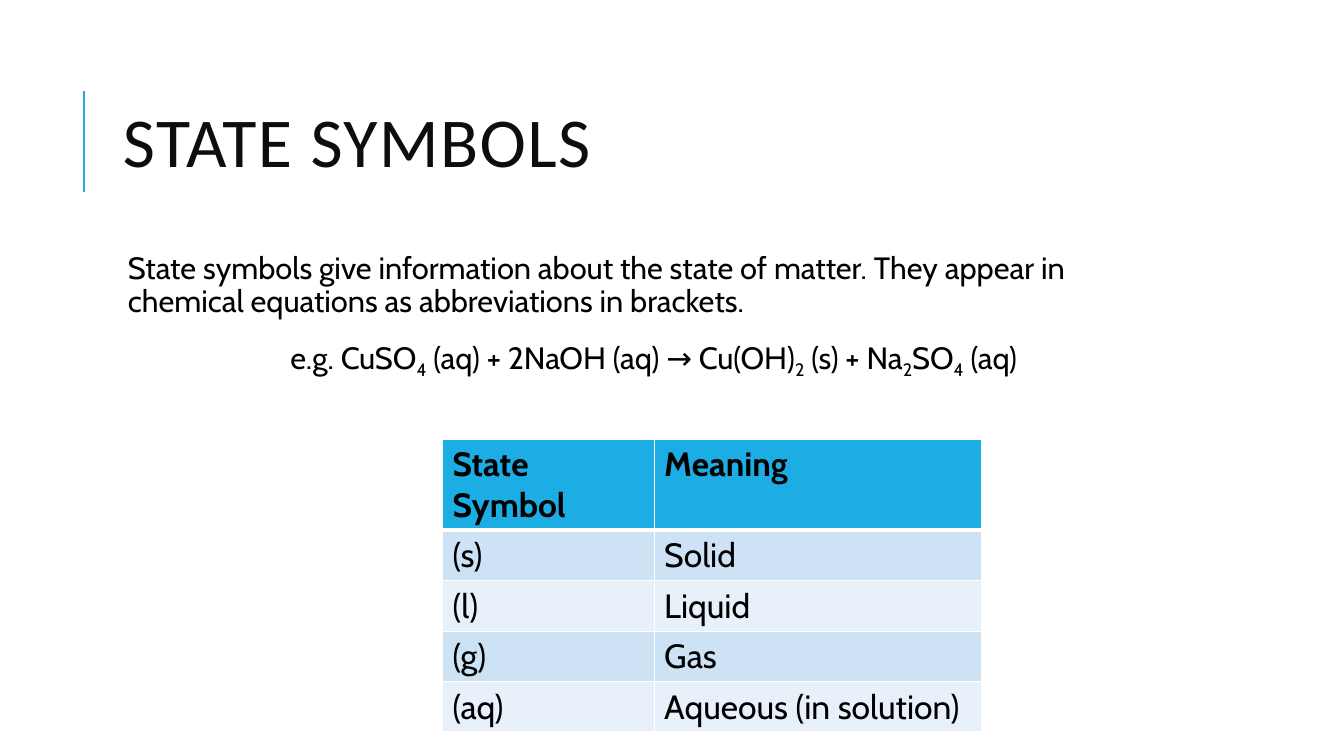
from dataclasses import dataclass

from lxml import etree
from pptx import Presentation
from pptx.dml.color import RGBColor
from pptx.enum.shapes import MSO_CONNECTOR
from pptx.enum.text import MSO_ANCHOR, MSO_AUTO_SIZE, PP_ALIGN
from pptx.oxml.ns import qn
from pptx.util import Pt

STRAIGHT = MSO_CONNECTOR.STRAIGHT
MIDDLE = MSO_ANCHOR.MIDDLE
NO_FIT = MSO_AUTO_SIZE.NONE
LEFT, CENTER = PP_ALIGN.LEFT, PP_ALIGN.CENTER
TITLE_ONLY = 5


@dataclass(frozen=True)
class Theme:
    accent: str = "1CADE4"
    title: str = "0D0D0D"
    text: str = "000000"
    border: str = "FFFFFF"
    bands: tuple = ("CDE3F5", "E8F1FA")
    title_font: str = "Calibri"
    body_font: str = "Cabin"
    title_size: int = 50
    body_size: int = 22
    table_size: int = 24


THEME = Theme()
INTRO = ("State symbols give information about the state of matter. "
         "They appear in chemical equations as abbreviations in brackets.")
EQUATION = [("e.g. CuSO", False), ("4", True), (" (aq) + 2NaOH (aq) → Cu(OH)", False),
            ("2", True), (" (s) + Na", False), ("2", True), ("SO", False),
            ("4", True), (" (aq)", False)]
STATES = [("State Symbol", "Meaning"), ("(s)", "Solid"), ("(l)", "Liquid"),
          ("(g)", "Gas"), ("(aq)", "Aqueous (in solution)")]


def add_run(p, text, font, size, color, bold=False, subscript=False):
    r = p.add_run()
    r.text = text
    r.font.name = font
    r.font.size = Pt(size)
    r.font.bold = bold
    r.font.color.rgb = RGBColor.from_string(color)
    if subscript:
        r.font._element.set("baseline", "-25000")
    return r


def add_rule(s, x, top, bottom):
    line = s.shapes.add_connector(STRAIGHT, Pt(x), Pt(bottom), Pt(x), Pt(top))
    line.line.color.rgb = RGBColor.from_string(THEME.accent)
    line.line.width = Pt(1.5)
    etree.SubElement(line._element.spPr, qn("a:effectLst"))


def set_title(s, text, left, top, width, height):
    sp = s.shapes.title
    sp.left, sp.top, sp.width, sp.height = Pt(left), Pt(top), Pt(width), Pt(height)
    tf = sp.text_frame
    tf.word_wrap = True
    tf.auto_size = NO_FIT
    tf.vertical_anchor = MIDDLE
    p = tf.paragraphs[0]
    p.alignment = LEFT
    p.line_spacing = 0.8
    r = add_run(p, text, THEME.title_font, THEME.title_size, THEME.title)
    r.font._element.set("spc", "100")


def add_body(s, paragraphs, left, top, width, height):
    tf = s.shapes.add_textbox(Pt(left), Pt(top), Pt(width), Pt(height)).text_frame
    tf.word_wrap = True
    tf.margin_left = tf.margin_top = tf.margin_right = tf.margin_bottom = Pt(3.6)
    for i, (alignment, runs) in enumerate(paragraphs):
        p = tf.add_paragraph() if i else tf.paragraphs[0]
        p.alignment = alignment
        p.line_spacing = 0.9
        p.space_before = Pt(12 if i else 0)
        p.space_after = Pt(2)
        p._p.get_or_add_pPr().set("marL", str(Pt(7.2)))
        for text, subscript in runs:
            add_run(p, text, THEME.body_font, THEME.body_size, THEME.text,
                    subscript=subscript)


def set_borders(cell, top, bottom):
    tc_pr = cell._tc.get_or_add_tcPr()
    for tag, width in (("a:lnL", 1), ("a:lnR", 1), ("a:lnT", top), ("a:lnB", bottom)):
        ln = etree.SubElement(tc_pr, qn(tag), w=str(Pt(width)))
        fill = etree.SubElement(ln, qn("a:solidFill"))
        etree.SubElement(fill, qn("a:srgbClr"), val=THEME.border)


def add_state_table(s, rows, left, top, widths, row_height):
    table = s.shapes.add_table(len(rows), len(widths), Pt(left), Pt(top),
                               Pt(sum(widths)), Pt(row_height * len(rows))).table
    for column, width in zip(table.columns, widths):
        column.width = Pt(width)
    for i, values in enumerate(rows):
        table.rows[i].height = Pt(row_height)
        header = i == 0
        color = THEME.accent if header else THEME.bands[(i - 1) % 2]
        for j, text in enumerate(values):
            cell = table.cell(i, j)
            set_borders(cell, top=3 if i == 1 else 1, bottom=3 if header else 1)
            cell.fill.solid()
            cell.fill.fore_color.rgb = RGBColor.from_string(color)
            add_run(cell.text_frame.paragraphs[0], text, THEME.body_font,
                    THEME.table_size, THEME.text, bold=header)


def main():
    prs = Presentation()
    prs.slide_width, prs.slide_height = Pt(960), Pt(540)
    s = prs.slides.add_slide(prs.slide_layouts[TITLE_ONLY])
    add_rule(s, 60, 65, 137)
    set_title(s, "STATE SYMBOLS", 80.64, 46.08, 765.36, 118.08)
    add_body(s, [(LEFT, [(INTRO, False)]), (CENTER, EQUATION)],
             80.64, 177.12, 765.36, 316.8)
    add_state_table(s, STATES, 316.08, 313.92, (151.2, 234), 29.52)
    prs.save("out.pptx")


if __name__ == "__main__":
    main()
